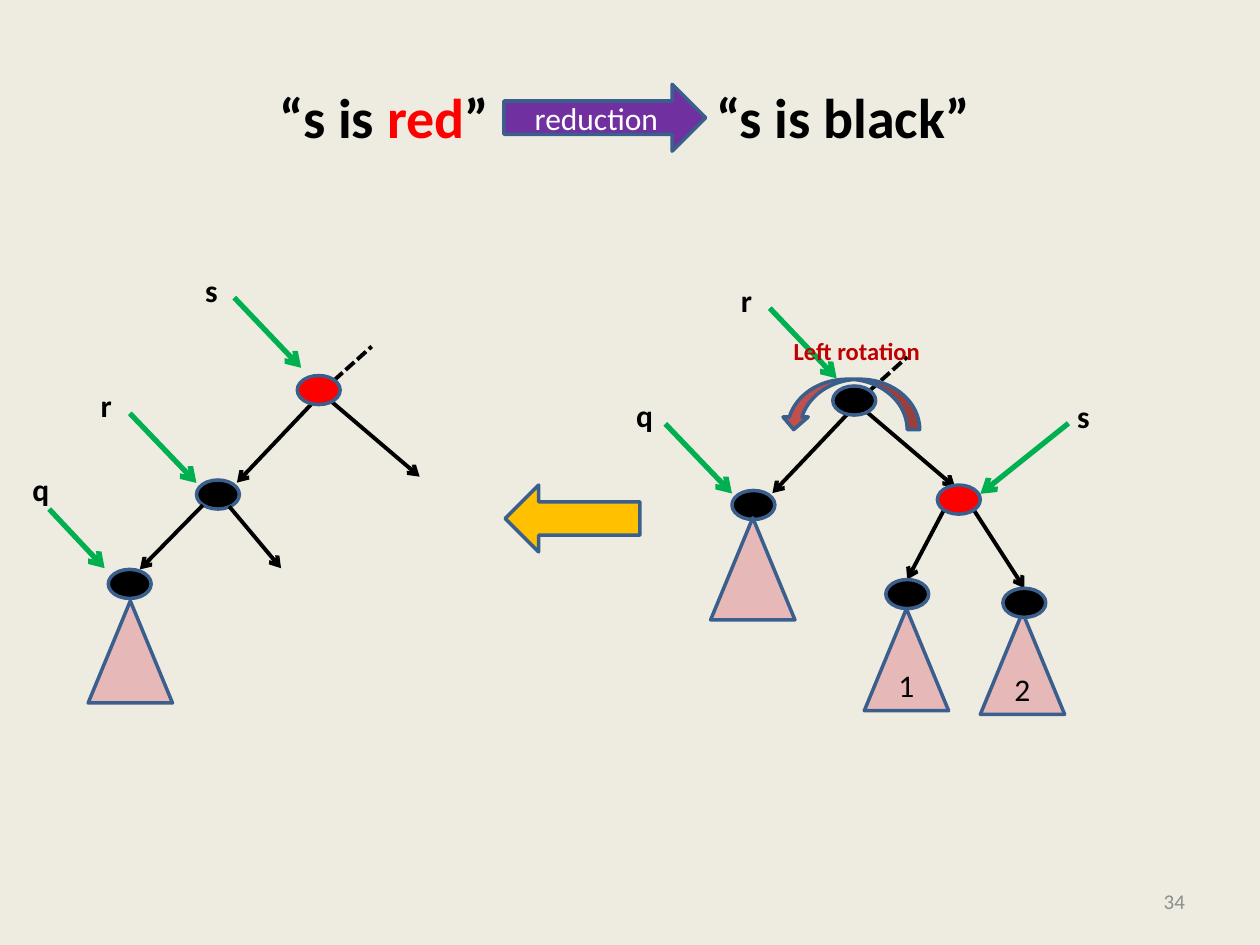
from lxml import etree
from pptx import Presentation
from pptx.dml.color import RGBColor
from pptx.enum import dml, shapes, text
from pptx.oxml import ns
from pptx.util import Pt

FONT = "Calibri"
BACKGROUND = RGBColor(0xEE, 0xEC, 0xE1)
BLACK = RGBColor(0, 0, 0)
WHITE = RGBColor(0xFF, 0xFF, 0xFF)
RED = RGBColor(0xFF, 0, 0)
DARK_RED = RGBColor(0xC0, 0, 0)
BRICK = RGBColor(0xC0, 0x50, 0x4D)
PINK = RGBColor(0xE6, 0xB9, 0xB8)
GREEN = RGBColor(0, 0xB0, 0x50)
PURPLE = RGBColor(0x70, 0x30, 0xA0)
AMBER = RGBColor(0xFF, 0xC0, 0)
GRAY = RGBColor(0x8C, 0x8C, 0x8C)
OUTLINE = RGBColor(0x3A, 0x5F, 0x8C)

NODE_SIZE = (24.5, 16.6)
SUBTREE_SIZE = (48.2, 58.3)
LABEL_WIDTHS = {"q": 24.5, "r": 20.9, "s": 21.6}

TITLE = [("“s is ", BLACK), ("red", RED), ("”\t“s is black”", BLACK)]
TITLE_BOX = (36, 21.6, 648, 90)
TITLE_START = 124
TITLE_TAB = 249.5

TREES = [
    {"shift": (0, 0), "names": ("s", "r"), "root": RED},
    {"shift": (306, 6), "names": ("r", "q"), "root": BLACK},
]
SPINE_NODES = [(169.9, 214.6), (112.3, 274.3)]
SPINE_LABELS = [(110.2, 151.2), (50.4, 216.9)]
SPINE_POINTERS = [(133.9, 170.1, 172.1, 210.2), (74.2, 236.2, 112.3, 276)]
SPINE_EDGES = [(177.8, 231.1, 135.4, 275.8), (187.9, 228.2, 239.8, 272.4)]
SPINE_STUB = (190.8, 217.4, 212.4, 198)

EDGES = [
    (115.9, 288.7, 79.9, 325.4),
    (131, 289.4, 160.6, 324.7),
    (539.3, 291.6, 518.4, 331.2),
    (556.6, 291.6, 585.4, 336.2),
]
POINTERS = [(28.1, 290.9, 59.8, 324.7), (610.6, 241.9, 560.2, 282.2)]
LABELS = [("q", 11.5, 265), ("s", 608.4, 223.2)]
SUBTREES = [
    ("", 50.4, 343.4),
    ("", 406.1, 295.9),
    ("1", 493.9, 347.8),
    ("2", 560.2, 349.9),
]
NODES = [
    (61.9, 325.4, BLACK),
    (535.7, 277.2, RED),
    (506.2, 331.2, BLACK),
    (573.1, 336.2, BLACK),
]


def add_runs(frame, runs, size, bold=False, align=text.PP_ALIGN.LEFT):
    paragraph = frame.paragraphs[0]
    paragraph.alignment = align
    for content, color in runs:
        run = paragraph.add_run()
        run.text = content
        run.font.name = FONT
        run.font.size = Pt(size)
        run.font.bold = bold
        run.font.color.rgb = color
    return paragraph


def add_text(slide, box, runs, size, bold=False, align=text.PP_ALIGN.LEFT,
             anchor=text.MSO_ANCHOR.TOP, wrap=False):
    frame = slide.shapes.add_textbox(*map(Pt, box)).text_frame
    frame.word_wrap = wrap
    frame.vertical_anchor = anchor
    return frame, add_runs(frame, runs, size, bold, align)


def add_label(slide, name, left, top):
    add_text(slide, (left, top, LABEL_WIDTHS[name], 29), [(name, BLACK)], 18, True)


def add_shape(slide, kind, box, fill, content="", color=BLACK):
    shape = slide.shapes.add_shape(kind, *map(Pt, box))
    shape.shadow.inherit = False
    shape.fill.solid()
    shape.fill.fore_color.rgb = fill
    shape.line.color.rgb = OUTLINE
    shape.line.width = Pt(2)
    if content:
        shape.text_frame.vertical_anchor = text.MSO_ANCHOR.MIDDLE
        add_runs(shape.text_frame, [(content, color)], 18, align=text.PP_ALIGN.CENTER)
    return shape


def add_node(slide, left, top, fill):
    add_shape(slide, shapes.MSO_SHAPE.OVAL, (left, top, *NODE_SIZE), fill)


def add_line(slide, ends, color=BLACK, width=2.25, dashed=False):
    line = slide.shapes.add_connector(shapes.MSO_CONNECTOR.STRAIGHT, *map(Pt, ends))
    line.line.color.rgb = color
    line.line.width = Pt(width)
    if dashed:
        line.line.dash_style = dml.MSO_LINE.SQUARE_DOT
    else:
        outline = line.line._get_or_add_ln()
        etree.SubElement(outline, ns.qn("a:tailEnd"), type="arrow")
    etree.SubElement(line._element.spPr, ns.qn("a:effectLst"))


def add_pointer(slide, ends):
    add_line(slide, ends, GREEN, 3)


def add_spine(slide, tree):
    def moved(values):
        return [value + tree["shift"][i % 2] for i, value in enumerate(values)]

    for edge in SPINE_EDGES:
        add_line(slide, moved(edge))
    add_line(slide, moved(SPINE_STUB), dashed=True)
    fills = (tree["root"], BLACK)
    for name, fill, node, label, pointer in zip(
            tree["names"], fills, SPINE_NODES, SPINE_LABELS, SPINE_POINTERS):
        add_node(slide, *moved(node), fill)
        add_pointer(slide, moved(pointer))
        add_label(slide, name, *moved(label))


def add_title(slide):
    frame, paragraph = add_text(slide, TITLE_BOX, [], 32,
                                anchor=text.MSO_ANCHOR.MIDDLE, wrap=True)
    frame.margin_left = Pt(TITLE_START)
    tabs = etree.SubElement(paragraph._p.get_or_add_pPr(), ns.qn("a:tabLst"))
    etree.SubElement(tabs, ns.qn("a:tab"), pos=str(Pt(TITLE_TAB)), algn="l")
    add_runs(frame, TITLE, 32, True)


def main():
    presentation = Presentation()
    presentation.slide_width = Pt(720)
    presentation.slide_height = Pt(540)
    slide = presentation.slides.add_slide(presentation.slide_layouts[6])
    slide.background.fill.solid()
    slide.background.fill.fore_color.rgb = BACKGROUND

    add_title(slide)
    add_text(slide, (516.2, 500.4, 168, 28.8), [("34", GRAY)], 12,
             align=text.PP_ALIGN.RIGHT, anchor=text.MSO_ANCHOR.MIDDLE, wrap=True)
    for tree in TREES:
        add_spine(slide, tree)
    for edge in EDGES:
        add_line(slide, edge)
    for pointer in POINTERS:
        add_pointer(slide, pointer)
    for label in LABELS:
        add_label(slide, *label)
    for content, left, top in SUBTREES:
        add_shape(slide, shapes.MSO_SHAPE.ISOSCELES_TRIANGLE,
                  (left, top, *SUBTREE_SIZE), PINK, content)
    for node in NODES:
        add_node(slide, *node)

    rotation = add_shape(slide, shapes.MSO_SHAPE.CURVED_DOWN_ARROW,
                         (446.4, 216.7, 79.2, 28.8), BRICK)
    rotation._element.spPr.xfrm.set("flipH", "1")
    add_text(slide, (446.4, 188.6, 87.8, 24.5), [("Left rotation", DARK_RED)], 14, True)
    add_shape(slide, shapes.MSO_SHAPE.LEFT_ARROW, (288.7, 277.2, 77, 38.2), AMBER)
    add_shape(slide, shapes.MSO_SHAPE.RIGHT_ARROW, (288, 48.2, 115.2, 38.2),
              PURPLE, "reduction", WHITE)
    presentation.save("out.pptx")


if __name__ == "__main__":
    main()
